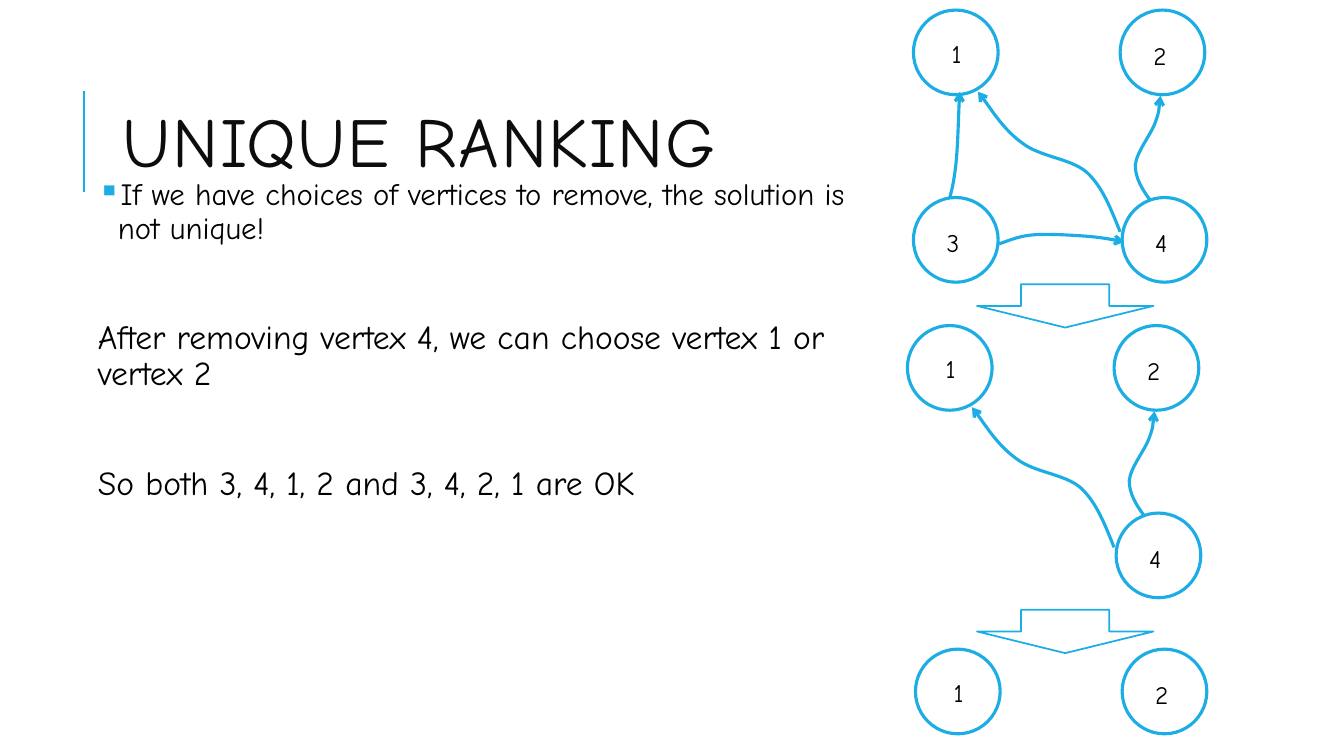
"""Build the slide on unique ranking of graph vertices."""
import pptx
import pptx.dml.color
import pptx.enum.shapes
import pptx.enum.text
import pptx.oxml
import pptx.oxml.ns
import pptx.util

PX = 9144
FONT = "Comic Neue"
HUES = {"blue": "1CADE4", "ink": "0D0D0D", "black": "000000", "white": "FFFFFF"}
KINDS = pptx.enum.shapes.MSO_SHAPE
DISC = 84
NODES = {"1": (0, 0), "2": (205, 0), "3": (0, 186), "4": (207, 186)}
EDGES = {
    "34": [(85, 232), (96, 228), (106, 224), (119, 223), (133, 222),
           (151, 223), (166, 224), (181, 225), (195, 227), (209, 230)],
    "41": [(205, 220), (196, 198), (188, 176), (172, 161), (156, 147),
           (126, 146), (108, 132), (90, 119), (72, 91), (64, 81)],
    "31": [(36, 186), (38, 179), (40, 171), (42, 154),
           (44, 136), (45, 92), (46, 81)],
    "42": [(235, 189), (227, 178), (220, 167), (220, 154), (221, 141),
           (236, 123), (240, 111), (244, 100), (244, 92), (245, 85)],
}
STAGES = [((906, 10), "1234"), ((900, 323), "124"), ((908, 644), "12")]
BODY = [
    ("If we have choices of vertices to remove, the solution is not unique!", 22, 0),
    ("After removing vertex 4, we can choose vertex 1 or vertex 2", 24, 51),
    ("So both 3, 4, 1, 2 and 3, 4, 2, 1 are OK", 24, 51),
]


def hue(name):
    """Return the named colour."""
    return pptx.dml.color.RGBColor.from_string(HUES[name])


def node(tag, **traits):
    """Make a drawing element with the given attributes."""
    item = pptx.oxml.parse_xml(f"<a:{tag} {pptx.oxml.ns.nsdecls('a')}/>")
    for key, val in traits.items():
        item.set(key, val)
    return item


def stroke(shape, width):
    """Give a shape a blue line."""
    shape.line.color.rgb = hue("blue")
    shape.line.width = pptx.util.Pt(width)


def solid(slide, kind, box, width):
    """Add a white preset shape with a blue line."""
    shape = slide.shapes.add_shape(kind, *(n * PX for n in box))
    shape.shadow.inherit = False
    shape.fill.solid()
    shape.fill.fore_color.rgb = hue("white")
    stroke(shape, width)


def frame(slide, box, **form):
    """Add a wrapping text box and return its text frame."""
    text = slide.shapes.add_textbox(*(n * PX for n in box)).text_frame
    text.word_wrap = True
    for key, val in form.items():
        setattr(text, key, val)
    return text


def write(par, words, size, tint="black", **form):
    """Fill a paragraph with one styled run and return the run."""
    for key, val in form.items():
        setattr(par, key, val)
    run = par.add_run()
    run.text = words
    looks = {"name": FONT, "size": pptx.util.Pt(size)}
    for key, val in looks.items():
        setattr(run.font, key, val)
    run.font.color.rgb = hue(tint)
    return run


def title(slide, box):
    """Place the heading and the upright rule on its left."""
    left, top, wide, high = box
    rule = slide.shapes.add_connector(
        pptx.enum.shapes.MSO_CONNECTOR.STRAIGHT,
        *(n * PX for n in (left - 29, top + 126, left - 29, top + 26)))
    stroke(rule, 1.5)
    rule._element.spPr.append(node("effectLst"))
    text = frame(slide, box, vertical_anchor=pptx.enum.text.MSO_ANCHOR.MIDDLE)
    run = write(text.paragraphs[0], "UNIQUE RANKING", 50, "ink", line_spacing=0.8)
    run._r.get_or_add_rPr().set("spc", "100")


def body(slide, box):
    """Place the bulleted statement and the two remarks below it."""
    sides = ("left", "top", "right", "bottom")
    text = frame(slide, box, **{f"margin_{side}": 5 * PX for side in sides})
    for rank, (words, size, gap) in enumerate(BODY):
        par = text.add_paragraph() if rank else text.paragraphs[0]
        if not rank:
            props = par._p.get_or_add_pPr()
            props.set("marL", str(20 * PX))
            props.set("indent", str(-20 * PX))
            tint = node("buClr")
            tint.append(node("srgbClr", val=HUES["blue"]))
            props.extend([tint, node("buChar", char="▪")])
        write(par, words, size, line_spacing=0.9,
              space_before=pptx.util.Pt(gap), space_after=pptx.util.Pt(2))


def curve(slide, left, top, dots):
    """Draw a smooth arrow along a chain of cubic control points."""
    spots = [(left + x, top + y) for x, y in dots]
    maker = slide.shapes.build_freeform(*spots[0], scale=PX)
    maker.add_line_segments(spots[1:], close=False)
    shape = maker.convert_to_shape()
    shape.shadow.inherit = False
    shape.fill.background()
    stroke(shape, 2.25)
    shape.line._get_or_add_ln().append(node("tailEnd", type="arrow"))
    track = shape._element.find(".//" + pptx.oxml.ns.qn("a:path"))
    steps = track.findall(pptx.oxml.ns.qn("a:lnTo"))
    for first in range(0, len(steps), 3):
        bend = node("cubicBezTo")
        for step in steps[first:first + 3]:
            bend.append(step[0])
            track.remove(step)
        track.append(bend)


def graph(slide, spot, names):
    """Draw the named vertices and every edge between them."""
    left, top = spot
    for name in names:
        x, y = left + NODES[name][0], top + NODES[name][1]
        solid(slide, KINDS.OVAL, (x, y, DISC, DISC), 2.25)
        dx, dy = (28, 23) if name == "1" else (23, 25)
        text = frame(slide, (x + dx, y + dy, 54, 41))
        write(text.paragraphs[0], name, 18)
    for ends, dots in EDGES.items():
        if set(ends) <= set(names):
            curve(slide, left, top, dots)


def main():
    """Build and save the deck."""
    deck = pptx.Presentation()
    deck.slide_width, deck.slide_height = 1333 * PX, 750 * PX
    slide = deck.slides.add_slide(deck.slide_layouts[6])
    title(slide, (112, 64, 1063, 164))
    body(slide, (92, 173, 763, 558))
    for spot, names in STAGES:
        graph(slide, spot, names)
    for top in (282, 605):
        solid(slide, KINDS.DOWN_ARROW, (969, top, 175, 43), 1.25)
    deck.save("out.pptx")


if __name__ == "__main__":
    main()
